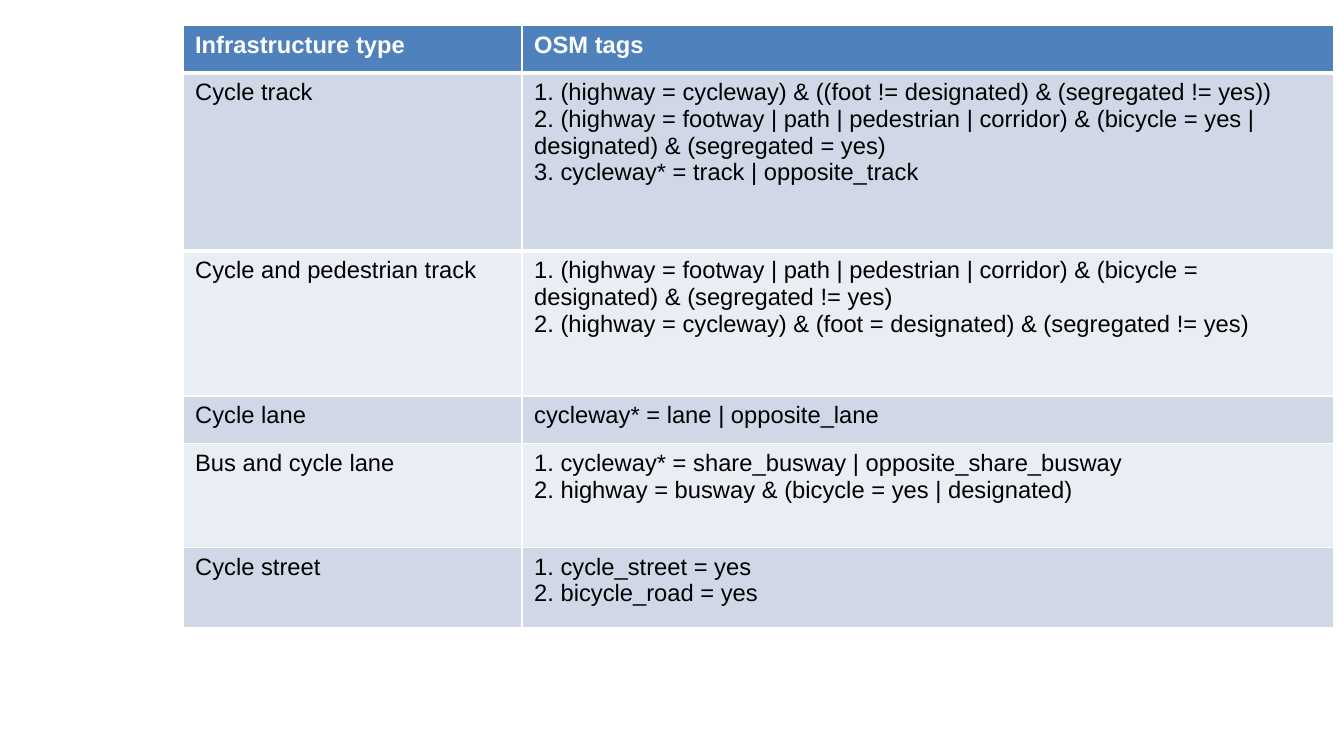
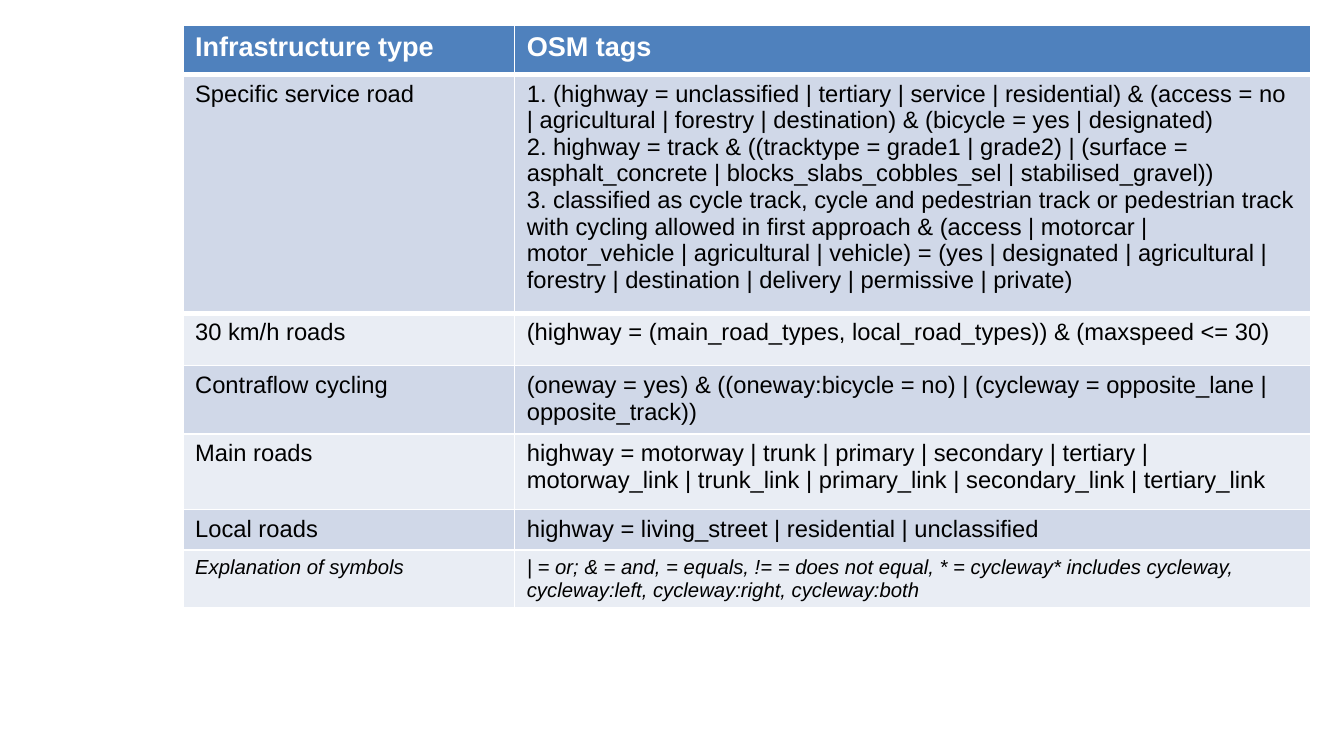
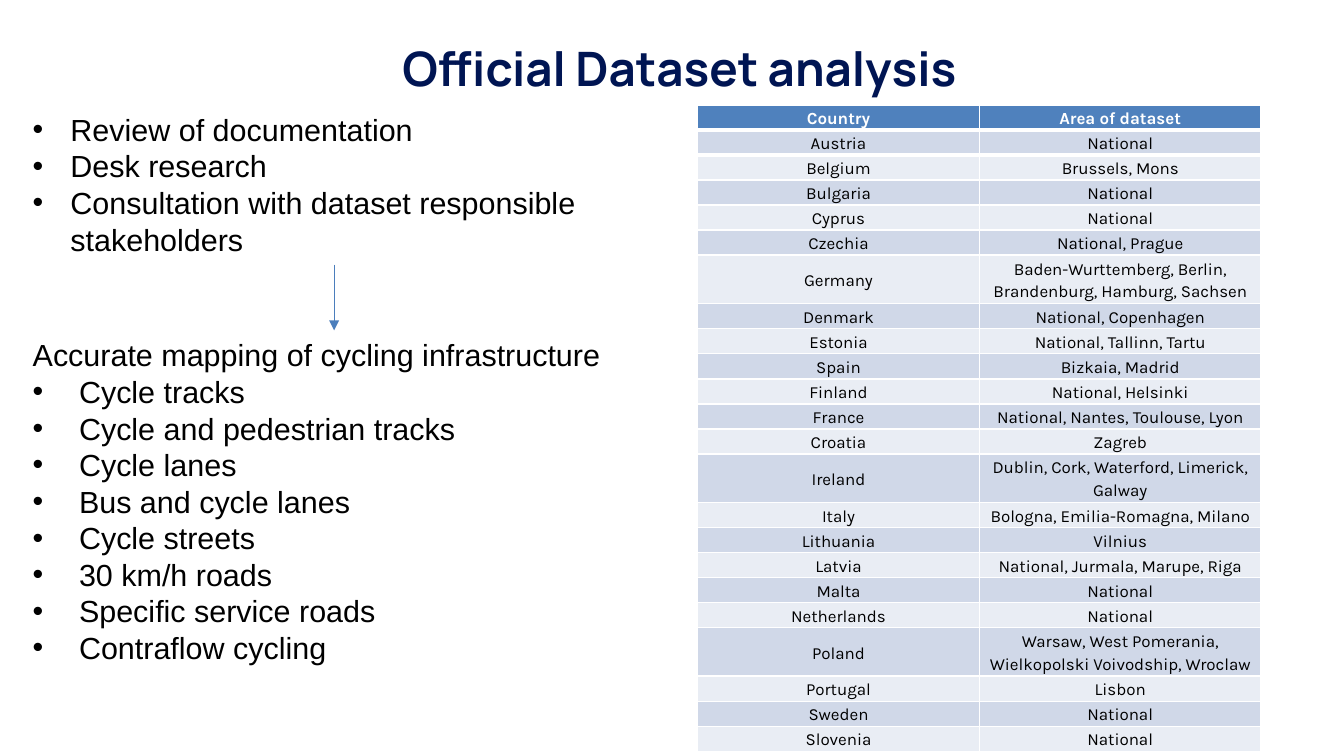
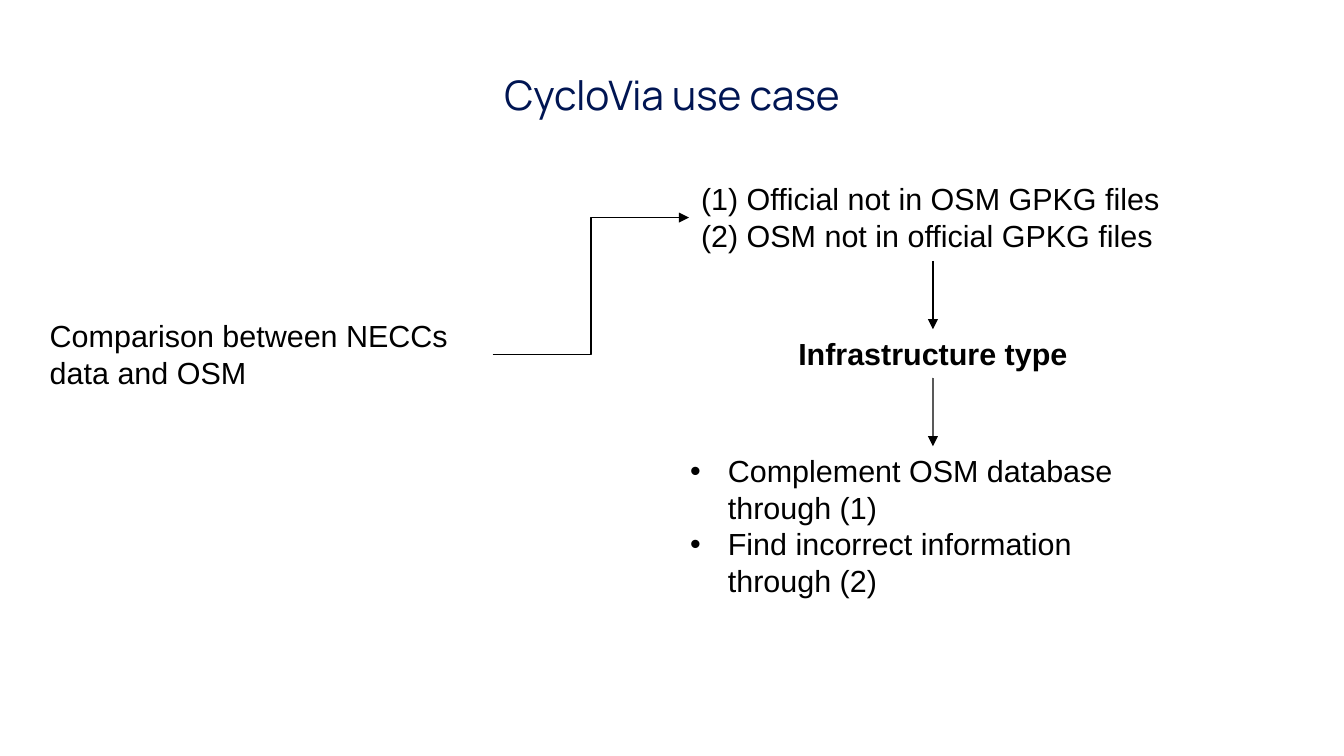
from lxml import etree
from pptx import Presentation
from pptx.dml.color import RGBColor
from pptx.enum.shapes import MSO_CONNECTOR
from pptx.enum.text import MSO_ANCHOR, MSO_AUTO_SIZE, PP_ALIGN
from pptx.oxml.ns import qn
from pptx.util import Inches, Pt

# Shared look
BLACK, WHITE, NAVY = "000000", "FFFFFF", "001553"
HEADER, BANDS = "4F81BD", ("D0D8E8", "E9EDF4")
ARROW_BLUE = "4B7EBC"
BODY_FONT, TITLE_FONT, DATA_FONT = "Arial", "Manrope", "Karla"
TABLE_HEAD = ("Infrastructure type", ["OSM tags"])
TOP, LEFT, BOTTOM, RIGHT = range(4)

# Table contents
CYCLE_ROWS = [
    TABLE_HEAD,
    ("Cycle track", [
        "1. (highway = cycleway) & ((foot != designated) & (segregated != yes))",
        "2. (highway = footway | path | pedestrian | corridor) & (bicycle = yes | designated) & (segregated = yes)",
        "3. cycleway* = track | opposite_track"]),
    ("Cycle and pedestrian track", [
        "1. (highway = footway | path | pedestrian | corridor) & (bicycle = designated) & (segregated != yes)",
        "2. (highway = cycleway) & (foot = designated) & (segregated != yes)"]),
    ("Cycle lane", ["cycleway* = lane | opposite_lane"]),
    ("Bus and cycle lane", [
        "1. cycleway* = share_busway | opposite_share_busway",
        "2. highway = busway & (bicycle = yes | designated)"]),
    ("Cycle street", ["1. cycle_street = yes", "2. bicycle_road = yes"]),
]
ROAD_ROWS = [
    TABLE_HEAD,
    ("Specific service road", [
        "1. (highway = unclassified | tertiary | service | residential) & (access = no | agricultural | forestry"
        " | destination) & (bicycle = yes | designated)",
        "2. highway = track & ((tracktype = grade1 | grade2) | (surface = asphalt_concrete"
        " | blocks_slabs_cobbles_sel | stabilised_gravel))",
        "3. classified as cycle track, cycle and pedestrian track or pedestrian track with cycling allowed in first"
        " approach & (access | motorcar | motor_vehicle | agricultural | vehicle) = (yes | designated | agricultural"
        " | forestry | destination | delivery | permissive | private)"]),
    ("30 km/h roads", ["(highway = (main_road_types, local_road_types)) & (maxspeed <= 30)"]),
    ("Contraflow cycling", [
        "(oneway = yes) & ((oneway:bicycle = no) | (cycleway = opposite_lane | opposite_track))"]),
    ("Main roads", [
        "highway = motorway | trunk | primary | secondary | tertiary | motorway_link | trunk_link | primary_link"
        " | secondary_link | tertiary_link"]),
    ("Local roads", ["highway = living_street | residential | unclassified"]),
    ("Explanation of symbols", [
        "| = or; & = and, = equals, != = does not equal, * = cycleway* includes cycleway, cycleway:left,"
        " cycleway:right, cycleway:both"]),
]
COUNTRY_ROWS = [
    ("Country", ["Area of dataset"]),
    ("Austria", ["National"]),
    ("Belgium", ["Brussels, Mons"]),
    ("Bulgaria", ["National"]),
    ("Cyprus", ["National"]),
    ("Czechia", ["National, Prague"]),
    ("Germany", ["Baden-Wurttemberg, Berlin, Brandenburg, Hamburg, Sachsen"]),
    ("Denmark", ["National, Copenhagen"]),
    ("Estonia", ["National, Tallinn, Tartu"]),
    ("Spain", ["Bizkaia, Madrid"]),
    ("Finland", ["National, Helsinki"]),
    ("France", ["National, Nantes, Toulouse, Lyon"]),
    ("Croatia", ["Zagreb"]),
    ("Ireland", ["Dublin, Cork, Waterford, Limerick, Galway"]),
    ("Italy", ["Bologna, Emilia-Romagna, Milano"]),
    ("Lithuania", ["Vilnius"]),
    ("Latvia", ["National, Jurmala, Marupe, Riga"]),
    ("Malta", ["National"]),
    ("Netherlands", ["National"]),
    ("Poland", ["Warsaw, West Pomerania, Wielkopolski Voivodship, Wroclaw"]),
    ("Portugal", ["Lisbon"]),
    ("Sweden", ["National"]),
    ("Slovenia", ["National"]),
]


def rgb(hex_color):
    return RGBColor.from_string(hex_color)


def write(tf, lines, size=18, font=BODY_FONT, color=BLACK, bold=False, italic=False,
          align=None, spacing=None, indent=0, bullets_from=None):
    """Fill a text frame; lines from index bullets_from on get a bullet."""
    for i, line in enumerate(lines):
        p = tf.paragraphs[0] if i == 0 else tf.add_paragraph()
        bulleted = bullets_from is not None and i >= bullets_from
        if bulleted or (indent and bullets_from is None):
            pPr = p._p.get_or_add_pPr()
            pPr.set("marL", str(Inches(indent)))
            if bulleted:
                pPr.set("indent", str(-Inches(indent)))
                etree.SubElement(pPr, qn("a:buFont")).set("typeface", BODY_FONT)
                etree.SubElement(pPr, qn("a:buChar")).set("char", "•")
        if align is not None:
            p.alignment = align
        if spacing:
            p.line_spacing = spacing
        r = p.add_run()
        r.text = line
        r.font.size, r.font.name = Pt(size), font
        r.font.bold, r.font.italic = bold, italic
        r.font.color.rgb = rgb(color)


def add_text(s, box, lines, wrap=True, **fmt):
    sp = s.shapes.add_textbox(*map(Inches, box))
    tf = sp.text_frame
    tf.word_wrap = wrap
    tf.auto_size = MSO_AUTO_SIZE.SHAPE_TO_FIT_TEXT
    write(tf, lines, **fmt)
    return sp


def add_title(s, text, height, size, **fmt):
    sp = s.shapes.add_textbox(*map(Inches, (0.55, 0.25, 9.92, height)))
    tf = sp.text_frame
    tf.word_wrap = True
    tf.vertical_anchor = MSO_ANCHOR.MIDDLE
    tf.margin_left = tf.margin_top = tf.margin_right = tf.margin_bottom = 0
    write(tf, [text], size=size, font=TITLE_FONT, color=NAVY, align=PP_ALIGN.CENTER, **fmt)


def add_arrow(s, start, start_side, end, end_side, color=BLACK, kind=MSO_CONNECTOR.STRAIGHT):
    line = s.shapes.add_connector(kind, 0, 0, 0, 0)
    line.begin_connect(start, start_side)
    line.end_connect(end, end_side)
    line.line.color.rgb = rgb(color)
    line.line.width = Pt(0.75)
    etree.SubElement(line.line._get_or_add_ln(), qn("a:tailEnd")).set("type", "triangle")
    etree.SubElement(line._element.spPr, qn("a:effectLst"))


def set_border(cell, side, width):
    """Draw a white border; border elements must precede the cell's fill."""
    ln = etree.Element(qn("a:" + side), w=str(Pt(width)))
    fill = etree.SubElement(ln, qn("a:solidFill"))
    etree.SubElement(fill, qn("a:srgbClr")).set("val", WHITE)
    cell._tc.get_or_add_tcPr().insert(0, ln)


def add_table(s, left, top, widths, heights, rows, size=14, head_size=None,
              margin=None, anchor=None, note_row=None, **fmt):
    """Banded two-column table; the table style draws the thin white borders."""
    table = s.shapes.add_table(len(rows), len(widths), Inches(left), Inches(top),
                               Inches(sum(widths)), Inches(sum(heights))).table
    for col, width in zip(table.columns, widths):
        col.width = Inches(width)
    for i, (label, lines) in enumerate(rows):
        table.rows[i].height = Inches(heights[i])
        head, note = i == 0, i == note_row
        text_size = (head_size or size) if head else 12 if note else size
        for cell, content in zip(table.rows[i].cells, ([label], lines)):
            cell.fill.solid()
            cell.fill.fore_color.rgb = rgb(HEADER if head else BANDS[(i - 1) % 2])
            if i < 2:  # thick rule between header and body
                set_border(cell, "lnB" if head else "lnT", 3)
            if margin is not None:
                cell.margin_left = cell.margin_right = margin
                cell.margin_top = cell.margin_bottom = margin
            if anchor is not None:
                cell.vertical_anchor = anchor
            write(cell.text_frame, content, size=text_size, color=WHITE if head else BLACK,
                  bold=head, italic=note, **fmt)


def cycle_tags_slide(s):
    add_table(s, 1.5, 0.21, (2.78, 6.66), (0.39, 1.46, 1.19, 0.39, 0.85, 0.66), CYCLE_ROWS)


def road_tags_slide(s):
    add_table(s, 1.5, 0.21, (2.72, 6.53), (0.4, 1.96, 0.43, 0.56, 0.62, 0.33, 0.45),
              ROAD_ROWS, head_size=16, note_row=len(ROAD_ROWS) - 1)


def dataset_slide(s):
    add_title(s, "Official Dataset analysis", 0.61, 28, bold=True, indent=0.12)
    heights = [0.33 if row[0] in ("Germany", "Poland") else 0.17 for row in COUNTRY_ROWS]
    add_table(s, 5.72, 0.86, (2.31, 2.31), heights, COUNTRY_ROWS, size=10, margin=Pt(0.5),
              anchor=MSO_ANCHOR.MIDDLE, font=DATA_FONT, align=PP_ALIGN.CENTER, spacing=1.15)
    sources = add_text(s, (0.17, 0.86, 5.14, 1.31), [
        "Review of documentation", "Desk research",
        "Consultation with dataset responsible stakeholders"], indent=0.31, bullets_from=0)
    mapping = add_text(s, (0.17, 2.71, 5.14, 2.83), [
        "Accurate mapping of cycling infrastructure", "Cycle tracks",
        "Cycle and pedestrian tracks", "Cycle lanes", "Bus and cycle lanes", "Cycle streets",
        "30 km/h roads", "Specific service roads", "Contraflow cycling"],
        indent=0.38, bullets_from=1)
    add_arrow(s, sources, BOTTOM, mapping, TOP, color=ARROW_BLUE)


def use_case_slide(s):
    add_title(s, "CycloVia use case", 1.04, 24)
    comparison = add_text(s, (0.31, 2.55, 3.73, 0.71), ["Comparison between NECCs data and OSM"])
    differences = add_text(s, (5.65, 1.43, 4, 0.71), [
        "(1) Official not in OSM GPKG files", "(2) OSM not in official GPKG files"], wrap=False)
    infra_type = add_text(s, (5.7, 2.7, 3.9, 0.4), ["Infrastructure type"],
                          bold=True, align=PP_ALIGN.CENTER)
    outcomes = add_text(s, (5.56, 3.66, 4.18, 1.62), [
        "Complement OSM database through (1)", "Find incorrect information through (2)"],
        indent=0.31, bullets_from=0)
    add_arrow(s, comparison, RIGHT, differences, LEFT, kind=MSO_CONNECTOR.ELBOW)
    add_arrow(s, differences, BOTTOM, infra_type, TOP)
    add_arrow(s, infra_type, BOTTOM, outcomes, TOP)


def main():
    prs = Presentation()
    prs.slide_width, prs.slide_height = Inches(11.02), Inches(6.2)
    for build in (cycle_tags_slide, road_tags_slide, dataset_slide, use_case_slide):
        build(prs.slides.add_slide(prs.slide_layouts[6]))
    prs.save("out.pptx")


if __name__ == "__main__":
    main()
